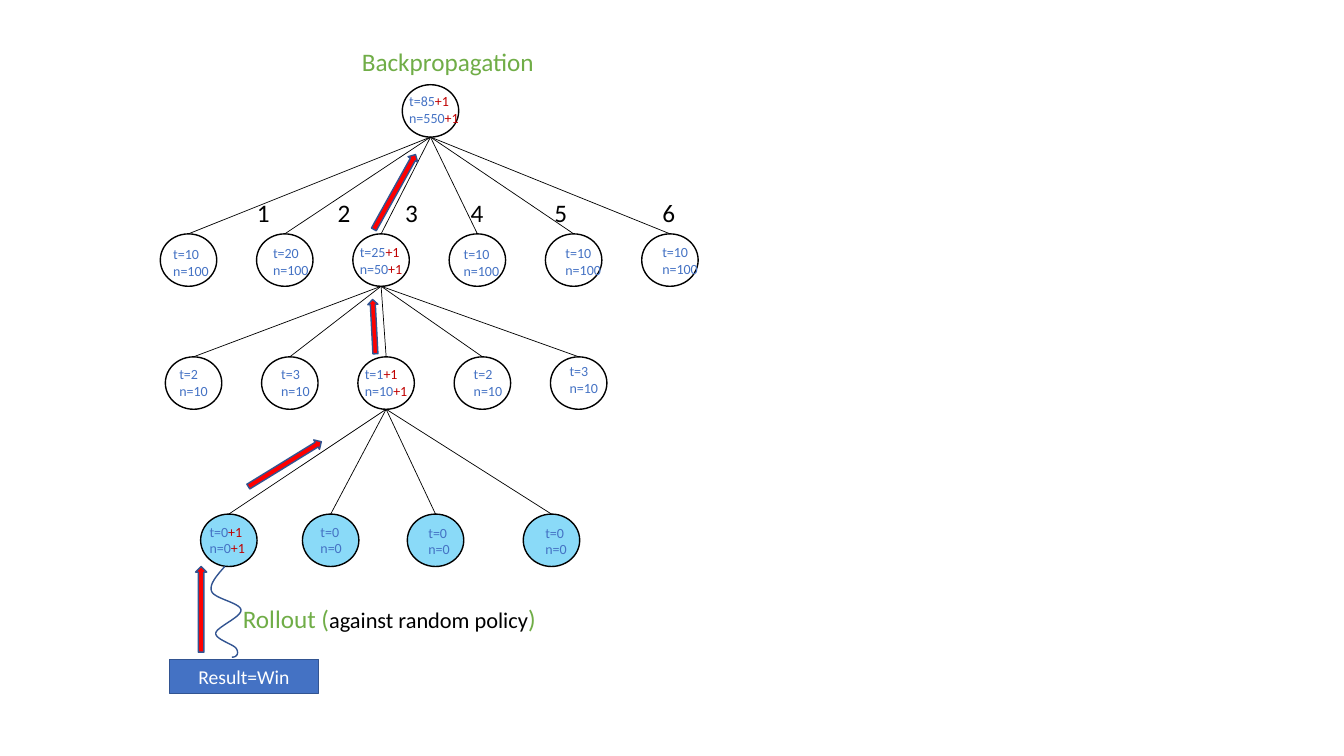
from lxml import etree
from pptx import Presentation
from pptx.dml.color import RGBColor
from pptx.enum.shapes import MSO_CONNECTOR as CONN, MSO_SHAPE as SHAPE
from pptx.enum.text import MSO_ANCHOR, MSO_AUTO_SIZE, PP_ALIGN
from pptx.oxml.ns import qn
from pptx.util import Inches, Pt

BLACK, WHITE, BLUE, NAVY = "000000", "FFFFFF", "4472C4", "325491"
GREEN, RED, DARK_RED, SKY = "70AD47", "FF0000", "C00000", "00B0F0"
NODE_W, NODE_H = 0.56, 0.52
STEP = 0.955

ROOT = (3.99, 3.96, 0.87, 0.81, "t=85", "n=550", True)
MOVES = [
    (1.62, 2.39, 0.87, "t=10", "n=100", False),
    (2.61, 2.38, 0.8, "t=20", "n=100", False),
    (3.47, 2.37, 0.81, "t=25", "n=50", True),
    (4.5, 2.39, 0.77, "t=10", "n=100", False),
    (5.51, 2.38, 0.7, "t=10", "n=100", False),
    (6.47, 2.37, 0.65, "t=10", "n=100", False),
]
REPLIES = [
    (1.68, 3.58, 0.55, "t=2", "n=10", False),
    (2.69, 3.58, 0.55, "t=3", "n=10", False),
    (3.52, 3.58, 0.69, "t=1", "n=10", True),
    (4.6, 3.58, 0.55, "t=2", "n=10", False),
    (5.55, 3.55, 0.55, "t=3", "n=10", False),
]
LEAVES = [
    (1.99, 1.98, 5.14, 0.72, "t=0", "n=0", True),
    (3, 3.08, 5.14, 0.55, "t=0", "n=0", False),
    (4.04, 4.15, 5.15, 0.55, "t=0", "n=0", False),
    (5.19, 5.31, 5.15, 0.55, "t=0", "n=0", False),
]
MOVE_NUMBER_LEFTS = [2.45, 3.25, 3.92, 4.57, 5.4, 6.47]
ARROWS = [
    (2.4, 4.55, 0.85, 0.11, 328.4),
    (3.44, 3.19, 0.54, 0.1, 267),
    (3.49, 1.85, 0.85, 0.11, 299.1),
    (1.57, 5.99, 0.85, 0.11, 270),
]
ROLLOUT_START = (2.23, 5.62)
ROLLOUT_CURVES = [
    ((2.15, 5.71), (2.07, 5.8), (2.1, 5.87)),
    ((2.13, 5.94), (2.38, 5.98), (2.39, 6.05)),
    ((2.4, 6.12), (2.15, 6.22), (2.14, 6.28)),
    ((2.13, 6.34), (2.31, 6.39), (2.34, 6.43)),
    ((2.37, 6.47), (2.36, 6.52), (2.3, 6.52)),
]


def rgb(color):
    return RGBColor.from_string(color)


def add_runs(p, runs):
    for text, size, color in runs:
        r = p.add_run()
        r.text = text
        r.font.name = "Calibri"
        r.font.size = Pt(size)
        r.font.color.rgb = rgb(color)


def add_text(s, left, top, width, height, lines):
    box = s.shapes.add_textbox(Inches(left), Inches(top), Inches(width), Inches(height))
    tf = box.text_frame
    tf.word_wrap = True
    tf.auto_size = MSO_AUTO_SIZE.SHAPE_TO_FIT_TEXT
    for i, runs in enumerate(lines):
        add_runs(tf.add_paragraph() if i else tf.paragraphs[0], runs)


def add_box(s, kind, left, top, width, height, fill, line):
    sp = s.shapes.add_shape(kind, Inches(left), Inches(top), Inches(width), Inches(height))
    sp.shadow.inherit = False
    sp.fill.solid()
    sp.fill.fore_color.rgb = rgb(fill)
    sp.line.color.rgb = rgb(line)
    sp.line.width = Pt(1)
    return sp


def add_node(s, left, top, unexplored=False):
    sp = add_box(s, SHAPE.OVAL, left, top, NODE_W, NODE_H, SKY if unexplored else WHITE, BLACK)
    if unexplored:
        color = sp.fill._xPr.find(qn("a:solidFill"))[0]
        etree.SubElement(color, qn("a:alpha")).set("val", "46000")
    return sp


def add_stats(s, left, top, width, wins, visits, updated):
    gain = [("+1", 10, DARK_RED)] if updated else []
    add_text(s, left, top, width, 0.44, [[(t, 10, BLUE)] + gain for t in (wins, visits)])


def add_edge(s, parent, child):
    x, y = parent.left + parent.width // 2, parent.top + parent.height
    line = s.shapes.add_connector(CONN.STRAIGHT, child.left, child.top, x, y)
    line.begin_connect(child, 0)
    line.line.color.rgb = rgb(BLACK)
    line.line.width = Pt(0.5)
    etree.SubElement(line._element.spPr, qn("a:effectLst"))


def add_level(s, parent, top, nodes, unexplored=False):
    shapes = [add_node(s, node[0], top, unexplored) for node in nodes]
    for sp, node in zip(shapes, nodes):
        add_edge(s, parent, sp)
        add_stats(s, *node[1:])
    return shapes


def spaced(start, stats):
    return [(start + i * STEP, *row) for i, row in enumerate(stats)]


def add_arrow(s, left, top, width, height, angle):
    sp = add_box(s, SHAPE.RIGHT_ARROW, left, top, width, height, RED, NAVY)
    sp.rotation = angle


def curve_points(start, curves, steps=16):
    points = []
    for a, b, end in curves:
        for i in range(1, steps + 1):
            t = i / steps
            u = 1 - t
            points.append(tuple(
                u**3 * p0 + 3 * u * u * t * p1 + 3 * u * t * t * p2 + t**3 * p3
                for p0, p1, p2, p3 in zip(start, a, b, end)))
        start = end
    return points


def add_rollout(s):
    x, y = ROLLOUT_START
    fb = s.shapes.build_freeform(Inches(x), Inches(y))
    points = curve_points(ROLLOUT_START, ROLLOUT_CURVES)
    fb.add_line_segments([(Inches(px), Inches(py)) for px, py in points], close=False)
    sp = fb.convert_to_shape()
    sp.shadow.inherit = False
    sp.fill.background()
    sp.line.color.rgb = rgb(NAVY)
    sp.line.width = Pt(1)


def add_result(s):
    sp = add_box(s, SHAPE.RECTANGLE, 1.68, 6.54, 1.48, 0.34, BLUE, NAVY)
    sp.text_frame.vertical_anchor = MSO_ANCHOR.MIDDLE
    p = sp.text_frame.paragraphs[0]
    p.alignment = PP_ALIGN.CENTER
    add_runs(p, [("Result=Win", 14, WHITE)])


def main():
    prs = Presentation()
    prs.slide_width, prs.slide_height = Inches(13.33), Inches(7.5)
    s = prs.slides.add_slide(prs.slide_layouts[6])

    root = add_node(s, ROOT[0], 0.84)
    add_stats(s, *ROOT[1:])
    moves = add_level(s, root, 2.32, spaced(1.59, MOVES))
    replies = add_level(s, moves[2], 3.54, spaced(1.64, REPLIES))
    add_level(s, replies[2], 5.1, LEAVES, unexplored=True)

    for number, left in enumerate(MOVE_NUMBER_LEFTS, 1):
        add_text(s, left, 1.91, 0.51, 0.4, [[(str(number), 18, BLACK)]])
    add_text(s, 2.31, 5.94, 3.38, 0.4, [[
        ("Rollout (", 18, GREEN), ("against random policy", 16, BLACK), (")", 18, GREEN)]])
    add_rollout(s)
    add_result(s)
    for arrow in ARROWS:
        add_arrow(s, *arrow)
    add_text(s, 3.49, 0.41, 1.91, 0.4, [[("Backpropagation", 18, GREEN)]])
    prs.save("out.pptx")


if __name__ == "__main__":
    main()
